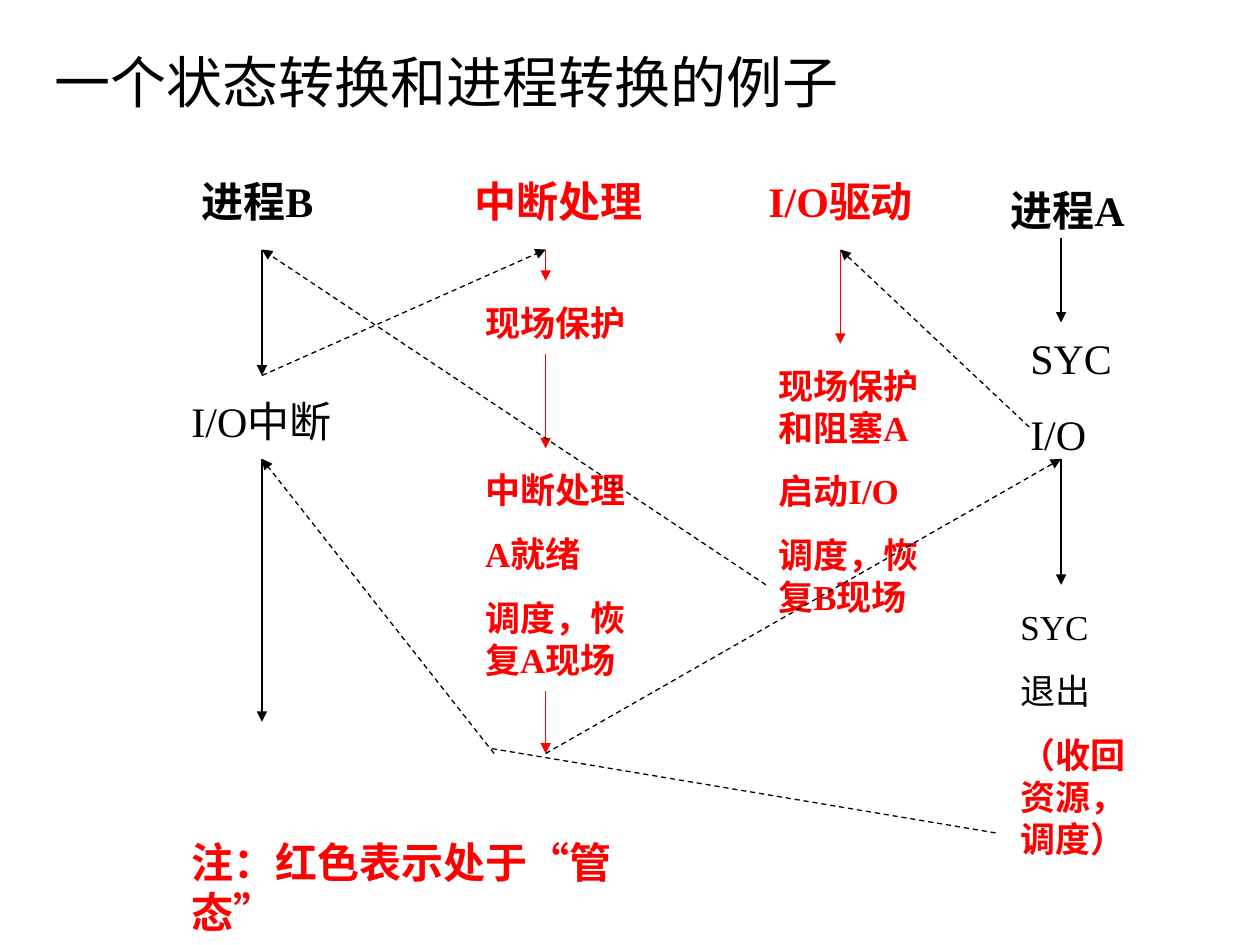
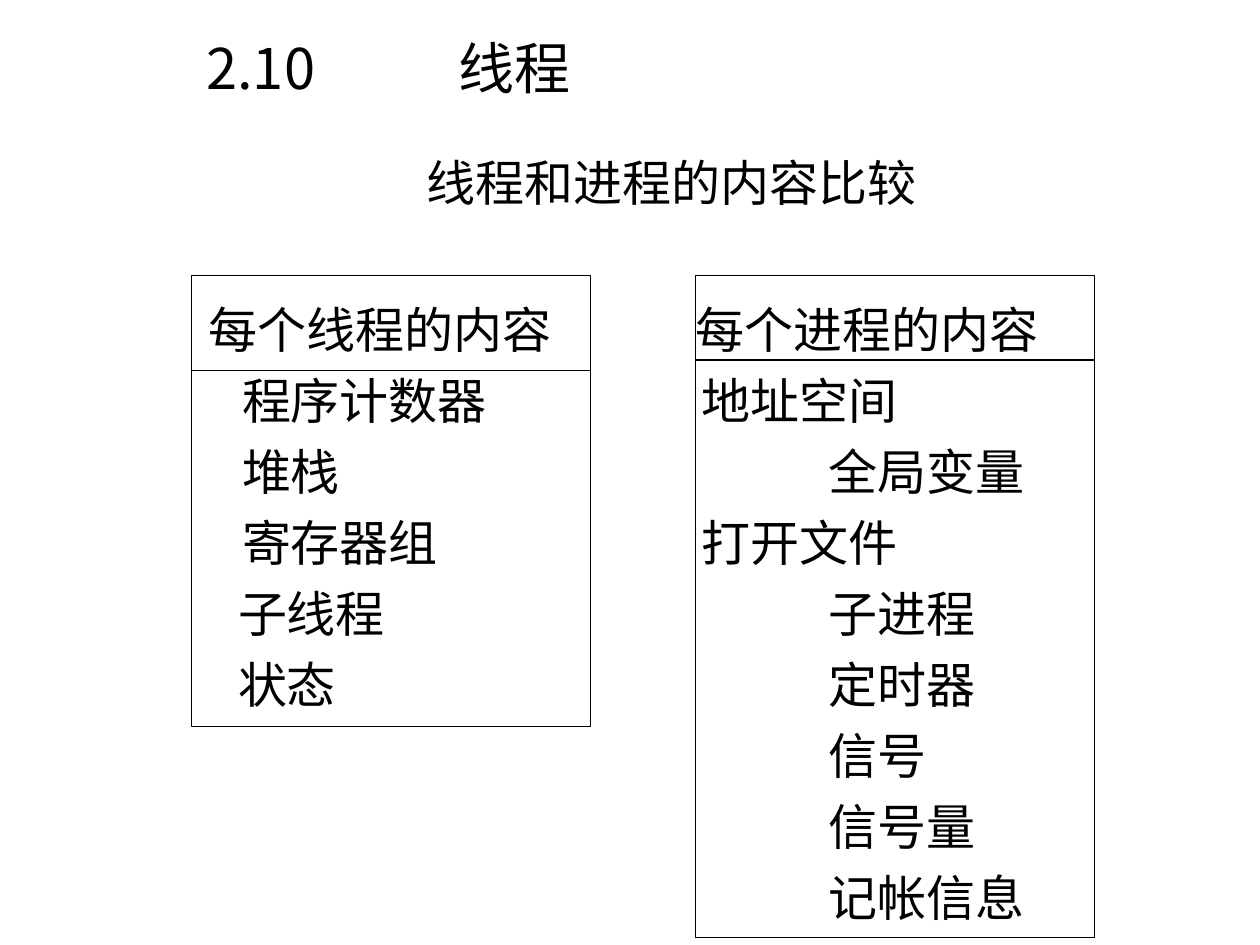
from dataclasses import dataclass

from lxml.etree import SubElement
from pptx import Presentation
from pptx.dml.color import RGBColor
from pptx.enum.dml import MSO_LINE
from pptx.enum.shapes import MSO_CONNECTOR, MSO_SHAPE
from pptx.enum.text import MSO_ANCHOR, MSO_AUTO_SIZE, PP_ALIGN
from pptx.oxml.ns import qn
from pptx.util import Cm, Pt


@dataclass(frozen=True)
class Theme:
    black: RGBColor = RGBColor(0x00, 0x00, 0x00)
    red: RGBColor = RGBColor(0xFF, 0x00, 0x00)
    latin_font: str = "Times New Roman"
    chinese_font: str = "Noto Sans CJK SC"
    title_size: float = 32
    content_size: float = 28
    heading_size: float = 24
    step_size: float = 20
    line_height: float = 1.2
    line_width: float = 0.75


class Deck:
    def __init__(self, theme):
        self.theme = theme
        self.presentation = Presentation()
        self.presentation.slide_width = Cm(25.4)
        self.presentation.slide_height = Cm(19.05)
        self.slide = None

    def new_slide(self):
        layout = self.presentation.slide_layouts[6]
        self.slide = self.presentation.slides.add_slide(layout)

    def format_runs(self, paragraph, size, color, bold=False, font_name=None):
        for run in paragraph.runs:
            run.font.size = Pt(size)
            run.font.bold = bold
            run.font.color.rgb = color
            run.font.name = font_name or self.theme.latin_font
            properties = run.font._element
            for old in properties.findall(qn("a:ea")):
                properties.remove(old)
            east_asian = SubElement(properties, qn("a:ea"))
            east_asian.set("typeface", self.theme.chinese_font)

    def text(self, left, top, width, height, lines, size, color=None, bold=False,
             gap=0.0, font_name=None):
        """Add a text box; gap is the space between paragraphs as a share of the size."""
        box = self.slide.shapes.add_textbox(Cm(left), Cm(top), Cm(width), Cm(height))
        frame = box.text_frame
        frame.text = "\n".join(lines)
        frame.word_wrap = True
        frame.auto_size = MSO_AUTO_SIZE.NONE
        frame.vertical_anchor = MSO_ANCHOR.TOP
        frame.margin_top = Cm(0.2)
        for index, paragraph in enumerate(frame.paragraphs):
            paragraph.line_spacing = Pt(size * self.theme.line_height)
            paragraph.space_before = Pt(size * gap if index else 0)
            self.format_runs(paragraph, size, color or self.theme.black, bold, font_name)
        return frame

    def title(self, left, top, width, height, text):
        return self.text(left, top, width, height, [text], self.theme.title_size,
                         font_name=self.theme.chinese_font)

    def heading(self, left, top, width, height, lines, color=None, bold=True):
        return self.text(left, top, width, height, lines, self.theme.heading_size,
                         color, bold, gap=0.625)

    def steps(self, left, top, width, height, lines, color, bold=True):
        return self.text(left, top, width, height, lines, self.theme.step_size,
                         color, bold, gap=0.625)

    def line(self, start, end, color=None, dashed=False, arrow=False):
        connector = self.slide.shapes.add_connector(
            MSO_CONNECTOR.STRAIGHT, *(Cm(value) for value in (*start, *end)))
        connector.line.color.rgb = color or self.theme.black
        connector.line.width = Pt(self.theme.line_width)
        if dashed:
            connector.line.dash_style = MSO_LINE.DASH
        if arrow:
            tail = SubElement(connector.line._get_or_add_ln(), qn("a:tailEnd"))
            tail.set("type", "triangle")
        SubElement(connector._element.spPr, qn("a:effectLst"))

    def frame(self, left, top, width, height):
        shape = self.slide.shapes.add_shape(
            MSO_SHAPE.RECTANGLE, Cm(left), Cm(top), Cm(width), Cm(height))
        shape.shadow.inherit = False
        shape.fill.background()
        shape.line.color.rgb = self.theme.black
        shape.line.width = Pt(self.theme.line_width)

    def indent(self, paragraph, distance):
        properties = paragraph._p.get_or_add_pPr()
        properties.set("marL", str(Cm(distance)))
        properties.set("indent", "0")

    def content_column(self, left, height, divider, header, items):
        """Draw a framed list; header and items are (text, indent) pairs."""
        top, width = 5.56, 8.05
        self.frame(left, top, width, height)
        self.line((left, divider), (left + width, divider))
        rows = [header, *items]
        frame = self.text(left, 5.84, width, height - 0.3, [text for text, _ in rows],
                          self.theme.content_size, gap=0.25)
        frame.margin_left = frame.margin_right = 0
        for paragraph, (_, distance) in zip(frame.paragraphs, rows):
            self.indent(paragraph, distance)


def build_process_switch(deck):
    theme = deck.theme
    deck.new_slide()
    title = deck.title(0, 0.76, 18.03, 3.18, "一个状态转换和进程转换的例子")
    title.paragraphs[0].alignment = PP_ALIGN.CENTER

    deck.heading(20.12, 3.53, 3.18, 1.27, ["进程A"])
    deck.heading(15.24, 3.33, 3.61, 2.29, ["I/O驱动"], theme.red)
    deck.heading(9.32, 3.33, 4.24, 1.27, ["中断处理"], theme.red)
    deck.heading(3.81, 3.33, 3.18, 1.27, ["进程B"])
    deck.heading(20.52, 6.5, 2.34, 2.82, ["SYC", "I/O"], bold=False)
    deck.heading(3.61, 7.77, 3.38, 2.29, ["I/O中断"], bold=False)
    deck.heading(3.61, 16.66, 9.96, 2.29, ["注：红色表示处于“管态”"], theme.red)

    deck.steps(15.44, 7.14, 3.38, 6.22,
               ["现场保护和阻塞A", "启动I/O", "调度，恢复B现场"], theme.red)
    deck.steps(9.53, 5.87, 3.38, 1.12, ["现场保护"], theme.red)
    deck.steps(9.53, 9.25, 3.38, 5.38,
               ["中断处理", "A就绪", "调度，恢复A现场"], theme.red)
    ending = deck.steps(20.32, 12.01, 2.74, 5.38,
                        ["SYC", "退出", "（收回资源，调度）"], theme.black, bold=False)
    deck.format_runs(ending.paragraphs[-1], theme.step_size, theme.red, bold=True)

    process_b, interrupt, driver, process_a = 5.28, 11.0, 16.94, 21.39
    start, resume, finish = 5.03, 9.25, 15.19
    runs = [
        (process_a, 4.8, 6.5, theme.black),
        (process_a, resume, 11.79, theme.black),
        (driver, start, 6.93, theme.red),
        (interrupt, start, 5.66, theme.red),
        (interrupt, 7.14, 9.04, theme.red),
        (interrupt, 13.92, finish, theme.red),
        (process_b, start, 7.57, theme.black),
        (process_b, resume, 14.55, theme.black),
    ]
    for column, top, bottom, color in runs:
        deck.line((column, top), (column, bottom), color, arrow=True)

    switches = [
        ((20.75, 8.61), (driver, start)),
        ((15.44, 11.79), (process_b, start)),
        ((process_b, 7.57), (interrupt, start)),
        ((interrupt, finish), (process_a, resume)),
        ((9.96, finish), (process_b, resume)),
    ]
    for origin, target in switches:
        deck.line(origin, target, dashed=True, arrow=True)
    deck.line((20.07, 16.79), (9.91, 15.09), dashed=True)


def build_thread_comparison(deck):
    deck.new_slide()
    title = deck.title(3.91, 0.48, 7.85, 1.63, "2.10\t线程")
    title.word_wrap = False
    tabs = SubElement(title.paragraphs[0]._p.get_or_add_pPr(), qn("a:tabLst"))
    SubElement(tabs, qn("a:tab"), pos=str(Cm(5.08)), algn="l")

    subtitle = deck.text(2.54, 2.87, 20.85, 1.5, ["线程和进程的内容比较"],
                         deck.theme.content_size).paragraphs[0]
    subtitle.alignment = PP_ALIGN.CENTER
    deck.indent(subtitle, 1.14)

    near, far = 0.13, 2.68
    deck.content_column(
        3.86, 9.09, 7.47, ("每个线程的内容", 0.35),
        [("程序计数器", 1.02), ("堆栈", 1.02), ("寄存器组", 1.02),
         ("子线程", 0.94), ("状态", 0.94)])
    deck.content_column(
        14.02, 13.34, 7.26, ("每个进程的内容", 0),
        [("地址空间", near), ("全局变量", far), ("打开文件", near), ("子进程", far),
         ("定时器", far), ("信号", far), ("信号量", far), ("记帐信息", far)])


def main():
    deck = Deck(Theme())
    build_process_switch(deck)
    build_thread_comparison(deck)
    deck.presentation.save("out.pptx")


if __name__ == "__main__":
    main()
